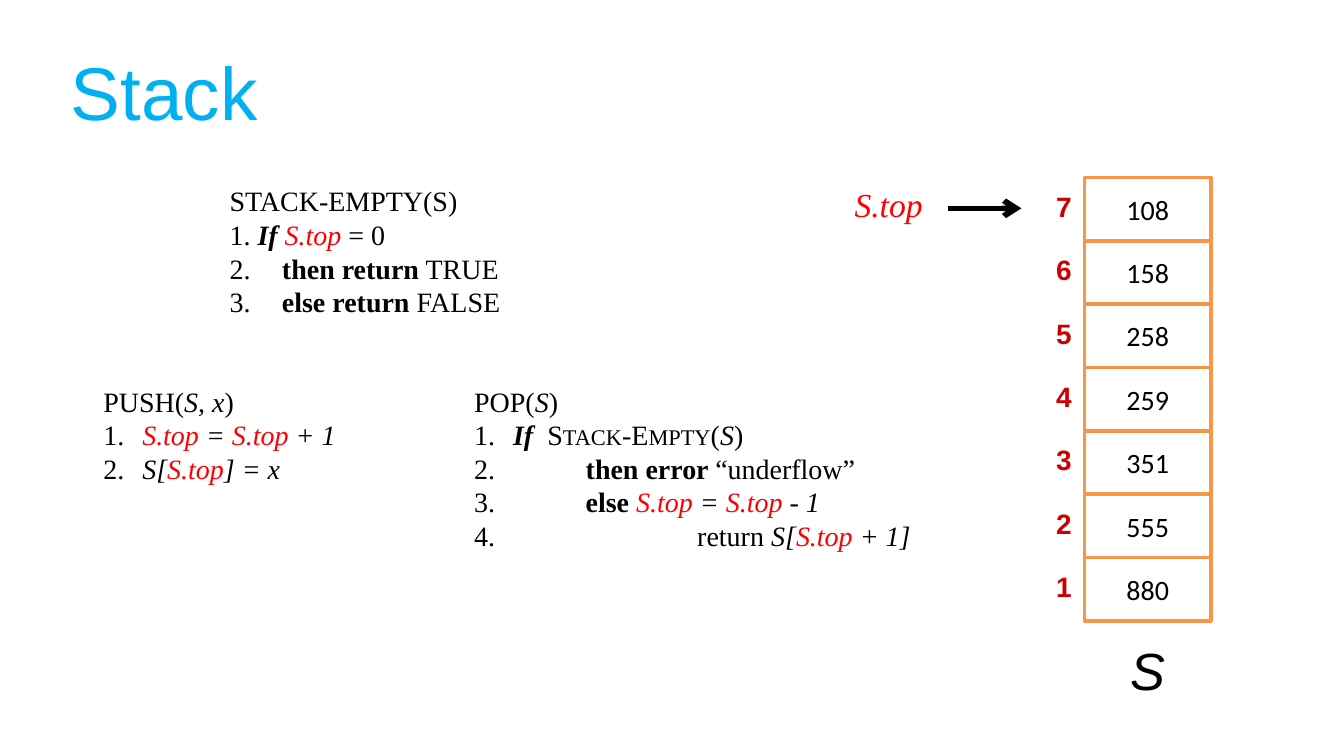
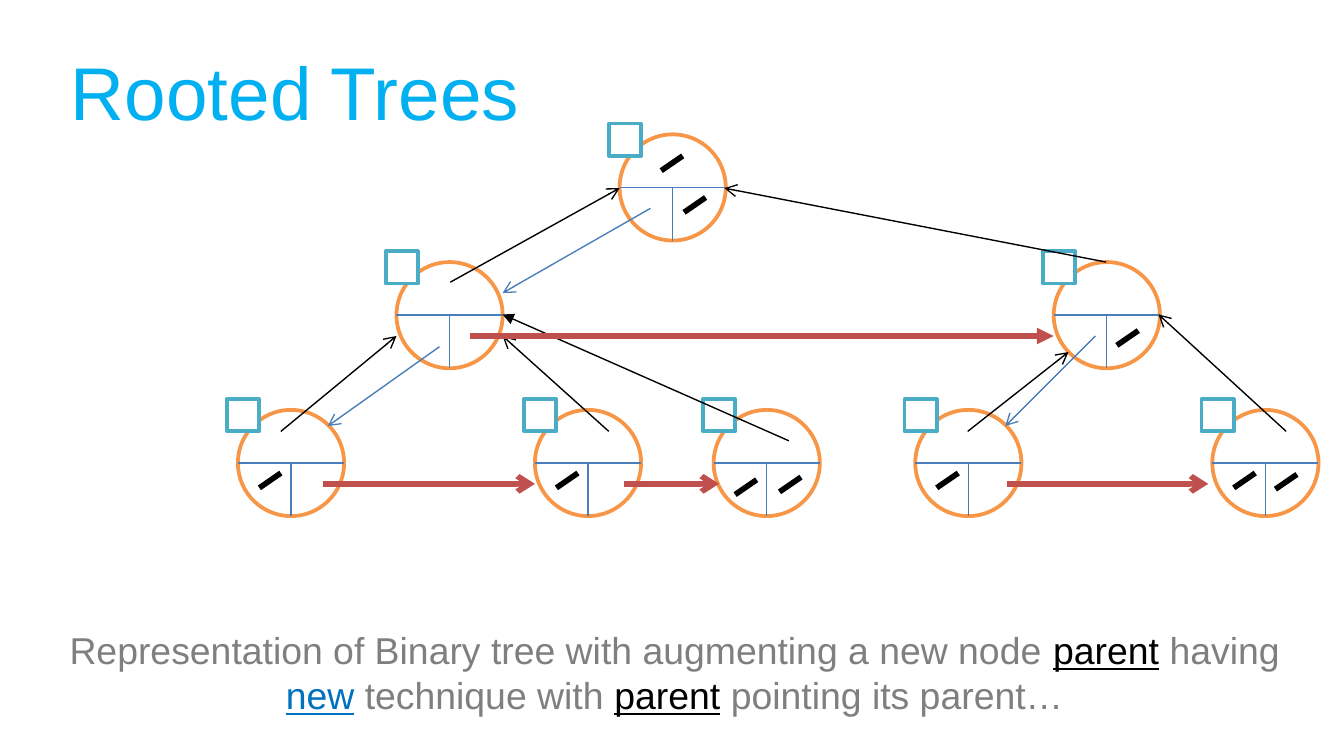
from lxml.etree import SubElement
from pptx import Presentation
from pptx.dml.color import RGBColor
from pptx.enum.shapes import MSO_CONNECTOR, MSO_SHAPE
from pptx.enum.text import MSO_ANCHOR, MSO_AUTO_SIZE, PP_ALIGN
from pptx.oxml.ns import qn
from pptx.util import Inches, Pt

WHITE = RGBColor(0xFF, 0xFF, 0xFF)
BLACK = RGBColor(0x00, 0x00, 0x00)
SKY = RGBColor(0x00, 0xB0, 0xF0)
RED = RGBColor(0xFF, 0x00, 0x00)
INDEX_RED = RGBColor(0xCC, 0x00, 0x00)
ORANGE = RGBColor(0xF7, 0x96, 0x46)
TEAL = RGBColor(0x4B, 0xAC, 0xC6)
BLUE = RGBColor(0x4A, 0x7E, 0xBB)
BRICK = RGBColor(0xC0, 0x50, 0x4D)
GRAY = RGBColor(0x7F, 0x7F, 0x7F)
LINK_BLUE = RGBColor(0x00, 0x70, 0xC0)

TITLE = {"name": "Arial", "size": Pt(40), "color": SKY}
CODE = {"name": "Times New Roman", "size": Pt(15), "color": BLACK}
CELL = {"name": "Calibri", "size": Pt(15), "color": BLACK}
INDEX = {"name": "Arial", "size": Pt(15), "color": INDEX_RED, "bold": True}
STACK_NAME = {"name": "Arial", "size": Pt(28), "color": BLACK, "italic": True}
POINTER = {"name": "Times New Roman", "size": Pt(18), "color": RED, "italic": True}
CAPTION = {"name": "Arial", "size": Pt(20), "color": GRAY}

PLAIN = {}
BOLD = {"bold": True}
ITALIC = {"italic": True}
BOLD_ITALIC = {"bold": True, "italic": True}
SMALL = {"size": Pt(12)}
TOP = {"italic": True, "color": RED}
KEY = {"underline": True, "color": BLACK}
NEW = {"underline": True, "color": LINK_BLUE}

TABS = [0.83, 1.66, 2.49, 3.33, 4.16, 4.99, 5.82]
PROCEDURES = [
    ((1.61, 1.32, 3.46, 1.1), 0.39, [
        [("STACK-EMPTY(S)", PLAIN)],
        [("1. ", PLAIN), ("If ", BOLD_ITALIC), ("S.top", TOP), (" = 0", PLAIN)],
        [("2. \t", PLAIN), ("then return", BOLD), (" TRUE", PLAIN)],
        [("3. \t", PLAIN), ("else return", BOLD), (" FALSE", PLAIN)],
    ]),
    ((0.67, 2.81, 2.68, 0.85), 0.29, [
        [("PUSH(", PLAIN), ("S, x", ITALIC), (")", PLAIN)],
        [("1.\t", PLAIN), ("S.top", TOP), (" = ", ITALIC), ("S.top", TOP), (" + 1", ITALIC)],
        [("2. \t", PLAIN), ("S[", ITALIC), ("S.top", TOP), ("] = x", ITALIC)],
    ]),
    ((3.43, 2.81, 3.86, 1.6), 0.29, [
        [("POP(", PLAIN), ("S", ITALIC), (")", PLAIN)],
        [("1.\t", PLAIN), ("If  ", BOLD_ITALIC), ("S", PLAIN), ("TACK", SMALL), ("-E", PLAIN),
         ("MPTY", SMALL), ("(", PLAIN), ("S", ITALIC), (")", PLAIN)],
        [("2. \t\t", PLAIN), ("then error ", BOLD), ("“underflow”", PLAIN)],
        [("3. \t\t", PLAIN), ("else ", BOLD), ("S.top", TOP), (" = ", ITALIC),
         ("S.top ", TOP), ("- 1", ITALIC)],
        [("4. \t\t\treturn ", PLAIN), ("S[", ITALIC), ("S.top ", TOP), ("+ 1]", ITALIC)],
    ]),
]
STACK = ["108", "158", "258", "259", "351", "555", "880"]
STACK_LEFT, STACK_TOP, STACK_H, CELL_W = 8.07, 1.32, 3.3, 0.94
CELL_H = STACK_H / len(STACK)

NODE, BADGE, BADGE_SHIFT = 0.79, 0.24, 0.08
DASH_W, DASH_H = 0.16, 0.11
NODES = [
    (4.61, 1.0, [(0.31, 0.16), (0.48, 0.47)]),
    (2.95, 1.95, []),
    (7.84, 1.95, [(0.47, 0.51)]),
    (1.77, 3.05, [(0.16, 0.47)]),
    (3.98, 3.05, [(0.16, 0.47)]),
    (5.31, 3.05, [(0.16, 0.52), (0.49, 0.5)]),
    (6.81, 3.05, [(0.16, 0.47)]),
    (9.02, 3.05, [(0.16, 0.47), (0.47, 0.48)]),
]
LINKS = [
    (BLUE, 0.75, "arrow", [
        (4.84, 1.55, 3.74, 2.18), (3.27, 2.58, 2.44, 3.17), (8.15, 2.5, 7.48, 3.17)]),
    (BLACK, 0.75, "arrow", [
        (3.35, 2.1, 4.61, 1.4), (8.23, 1.95, 5.39, 1.4), (2.09, 3.21, 2.95, 2.5),
        (4.53, 3.21, 3.74, 2.5), (7.2, 3.21, 7.95, 2.62), (9.57, 3.21, 8.62, 2.34)]),
    (BLACK, 0.75, "triangle", [(5.87, 3.28, 3.74, 2.34)]),
    (BRICK, 3, "triangle", [(3.5, 2.5, 7.84, 2.5)]),
    (BRICK, 3, "arrow", [
        (2.4, 3.6, 3.98, 3.6), (4.64, 3.6, 5.35, 3.6), (7.49, 3.6, 8.99, 3.6)]),
]
CAPTION_RUNS = [
    ("Representation of Binary tree with augmenting a new node ", PLAIN), ("parent", KEY),
    (" having ", PLAIN), ("new", NEW), (" technique with ", PLAIN), ("parent", KEY),
    (" pointing its parent…", PLAIN),
]


def fill_text(tf, paragraphs, style, align=PP_ALIGN.LEFT, tabs=TABS):
    for i, runs in enumerate(paragraphs):
        p = tf.add_paragraph() if i else tf.paragraphs[0]
        p.alignment = align
        tab_list = SubElement(p._p.get_or_add_pPr(), qn("a:tabLst"))
        for tab in tabs:
            SubElement(tab_list, qn("a:tab"), pos=str(Inches(tab)), algn="l")
        for text, extra in runs:
            r = p.add_run()
            r.text = text
            for key, value in {**style, **extra}.items():
                if key == "color":
                    r.font.color.rgb = value
                else:
                    setattr(r.font, key, value)


def add_text(s, box, paragraphs, style, wrap=True, **layout):
    tf = s.shapes.add_textbox(*map(Inches, box)).text_frame
    tf.word_wrap = wrap
    tf.auto_size = MSO_AUTO_SIZE.SHAPE_TO_FIT_TEXT
    fill_text(tf, paragraphs, style, **layout)


def add_outline(shapes, kind, box, color):
    sp = shapes.add_shape(kind, *map(Inches, box))
    sp.shadow.inherit = False
    sp.fill.solid()
    sp.fill.fore_color.rgb = WHITE
    sp.line.color.rgb = color
    sp.line.width = Pt(2)
    return sp


def add_line(shapes, ends, color, width, tail=None):
    line = shapes.add_connector(MSO_CONNECTOR.STRAIGHT, *map(Inches, ends))
    line.line.color.rgb = color
    line.line.width = Pt(width)
    if tail:
        SubElement(line.line._get_or_add_ln(), qn("a:tailEnd"), type=tail)
    SubElement(line._element.spPr, qn("a:effectLst"))


def add_slide(prs, title):
    s = prs.slides.add_slide(prs.slide_layouts[6])
    add_text(s, (0.43, 0.29, 9.06, 0.77), [[(title, PLAIN)]], TITLE)
    return s


def add_node(s, left, top, dashes):
    shapes = s.shapes.add_group_shape().shapes
    mid_x, mid_y = left + NODE / 2, top + NODE / 2
    add_outline(shapes, MSO_SHAPE.OVAL, (left, top, NODE, NODE), ORANGE)
    add_line(shapes, (left, mid_y, left + NODE, mid_y), BLUE, 0.75)
    add_line(shapes, (mid_x, mid_y, mid_x, top + NODE), BLUE, 0.75)
    badge = (left - BADGE_SHIFT, top - BADGE_SHIFT, BADGE, BADGE)
    add_outline(shapes, MSO_SHAPE.RECTANGLE, badge, TEAL)
    for dx, dy in dashes:
        x, y = left + dx, top + dy
        add_line(s.shapes, (x + DASH_W, y, x, y + DASH_H), BLACK, 3)


def build_stack(prs):
    s = add_slide(prs, "Stack")
    for box, first_tab, lines in PROCEDURES:
        add_text(s, box, lines, CODE, tabs=[first_tab] + TABS[:-1])
    for i, value in enumerate(STACK):
        y = STACK_TOP + i * CELL_H
        sp = add_outline(s.shapes, MSO_SHAPE.RECTANGLE, (STACK_LEFT, y, CELL_W, CELL_H), ORANGE)
        sp.text_frame.vertical_anchor = MSO_ANCHOR.MIDDLE
        fill_text(sp.text_frame, [[(value, PLAIN)]], CELL, PP_ALIGN.CENTER)
        index = str(len(STACK) - i)
        add_text(s, (7.76, y + 0.04, 0.31, 0.35), [[(index, PLAIN)]], INDEX, wrap=False)
    add_text(s, (8.31, 4.7, 0.46, 0.57), [[("S", PLAIN)]], STACK_NAME, wrap=False)
    add_text(s, (6.26, 1.32, 0.72, 0.4), [[("S.top", PLAIN)]], POINTER, wrap=False)
    add_line(s.shapes, (7.05, 1.55, 7.6, 1.55), BLACK, 3, "arrow")


def build_tree(prs):
    s = add_slide(prs, "Rooted Trees")
    for node in NODES:
        add_node(s, *node)
    for color, width, tail, links in LINKS:
        for ends in links:
            add_line(s.shapes, ends, color, width, tail)
    add_text(s, (0.16, 4.62, 9.72, 0.77), [CAPTION_RUNS], CAPTION, align=PP_ALIGN.CENTER)


def main():
    prs = Presentation()
    prs.slide_width = Inches(10)
    prs.slide_height = prs.slide_width * 9 // 16
    build_stack(prs)
    build_tree(prs)
    prs.save("out.pptx")


if __name__ == "__main__":
    main()
